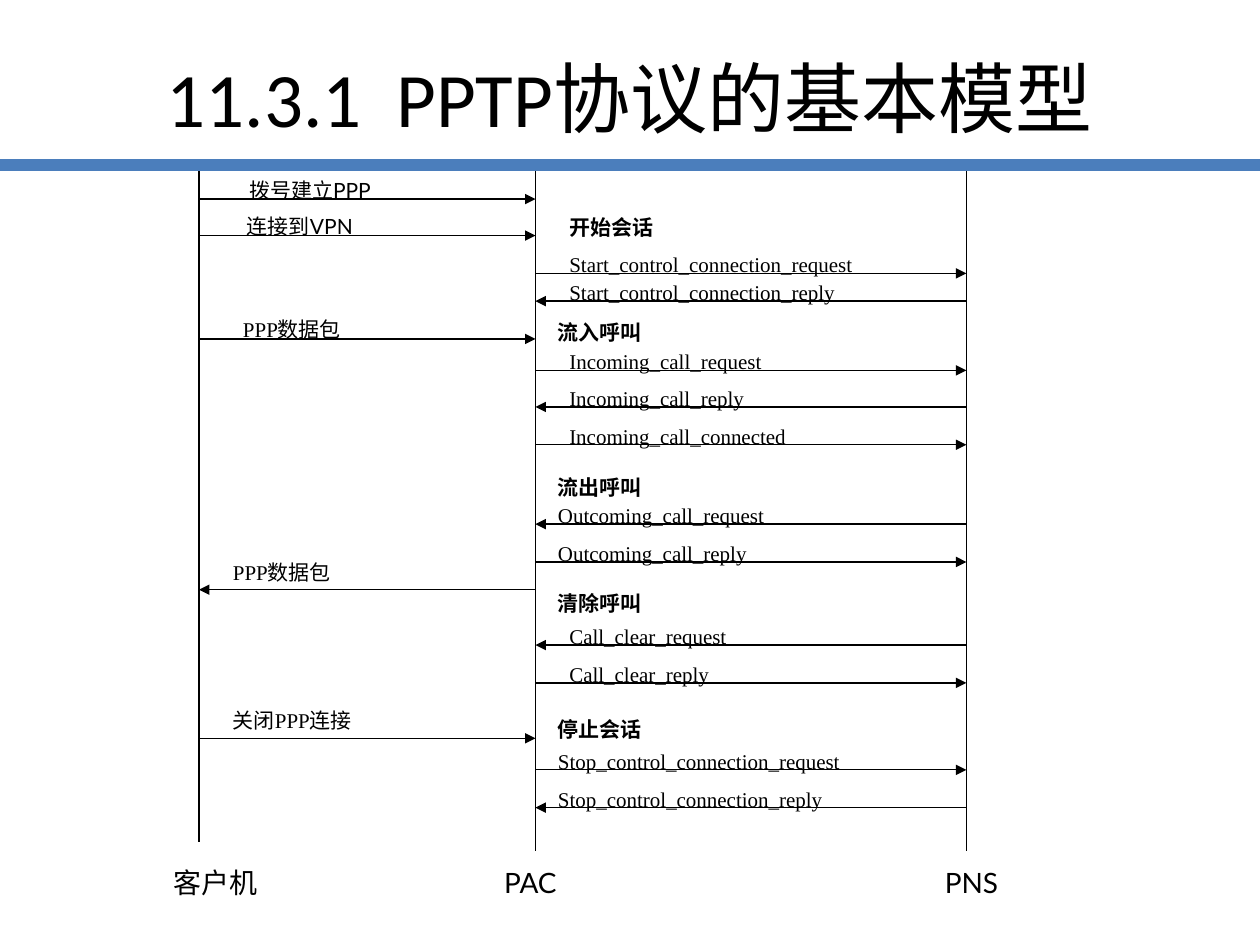
from dataclasses import dataclass

from lxml.etree import SubElement
from pptx import Presentation
from pptx.dml.color import RGBColor as Rgb
from pptx.enum.shapes import MSO_CONNECTOR as Conn
from pptx.enum.text import MSO_ANCHOR as Anchor, MSO_AUTO_SIZE as Fit, PP_ALIGN as Align
from pptx.oxml.ns import qn
from pptx.util import Inches, Pt


@dataclass(frozen=True)
class Theme:
    ink: Rgb = Rgb(0, 0, 0)
    blue: Rgb = Rgb(0x4B, 0x7E, 0xBC)
    head: str = "Calibri"
    sans: str = "Lato"
    serif: str = "Times New Roman"
    cjk: str = "Noto Sans CJK SC"
    big: float = 44
    mid: float = 16
    small: float = 12
    thin: float = 0.75
    thick: float = 7


class Sheet:
    def __init__(self, slide, theme):
        self.slide = slide
        self.theme = theme

    def line(self, x1, y1, x2, y2, arrow=False, color=None, width=None):
        ends = [Inches(v) for v in (x1, y1, x2, y2)]
        rule = self.slide.shapes.add_connector(Conn.STRAIGHT, *ends)
        rule.line.color.rgb = color or self.theme.ink
        rule.line.width = Pt(width or self.theme.thin)
        if arrow:
            SubElement(rule.line._get_or_add_ln(), qn("a:tailEnd"), type="triangle")
        SubElement(rule._element.spPr, qn("a:effectLst"))

    def text(self, box, runs, size, bold=False, center=False, wrap=True):
        """Add a text box; runs is a list of (words, font) pairs."""
        shape = self.slide.shapes.add_textbox(*[Inches(v) for v in box])
        frame = shape.text_frame
        form = {
            "word_wrap": wrap,
            "auto_size": Fit.NONE if center else Fit.SHAPE_TO_FIT_TEXT,
            "vertical_anchor": Anchor.MIDDLE if center else Anchor.TOP,
        }
        for key, val in form.items():
            setattr(frame, key, val)
        para = frame.paragraphs[0]
        para.alignment = Align.CENTER if center else Align.LEFT
        for words, face in runs:
            run = para.add_run()
            run.text = words
            for key, val in {"name": face, "size": Pt(size), "bold": bold}.items():
                setattr(run.font, key, val)
            run.font.color.rgb = self.theme.ink
            SubElement(run.font._element, qn("a:ea"), typeface=self.theme.cjk)


def main():
    deck = Presentation()
    deck.slide_width, deck.slide_height = Inches(10), Inches(7.5)
    theme = Theme()
    sheet = Sheet(deck.slides.add_slide(deck.slide_layouts[6]), theme)

    # Title and blue rule
    sheet.line(0, 1.31, 10, 1.31, color=theme.blue, width=theme.thick)
    sheet.text((0.5, 0.3, 9, 0.94), [("11.3.1  PPTP协议的基本模型", theme.head)],
               theme.big, center=True)

    # Lifelines with the names below: x, foot, name, label left
    host, pac, pns = 1.58, 4.25, 7.67
    for x, foot, name, left in [(host, 6.68, "客户机", 0.92),
                                (pac, 6.75, "PAC", 3.42),
                                (pns, 6.75, "PNS", 6.92)]:
        sheet.line(x, 1.36, x, foot)
        sheet.text((left, 6.75, 1.58, 0.5), [(name, theme.sans)], theme.mid,
                   center=True, wrap=False)

    # Dial-up and VPN requests from the client
    for y, left, words in [(1.58, 1.75, "拨号建立PPP"), (1.87, 1.67, "连接到VPN")]:
        sheet.line(host, y, pac, y, arrow=True)
        sheet.text((left, y - 0.15, 1.42, 0.15), [(words, theme.sans)], theme.small,
                   center=True, wrap=False)

    # PPP traffic between client and PAC: start, end, y, label left, label top, runs
    data = [("PPP", theme.serif), ("数据包", theme.cjk)]
    for start, end, y, left, top, runs in [
        (host, pac, 2.69, 1.83, 2.46, data),
        (pac, host, 4.68, 1.75, 4.39, data),
        (host, pac, 5.86, 1.75, 5.57, [("关闭PPP连接", theme.serif)]),
    ]:
        sheet.line(start, y, end, y, arrow=True)
        sheet.text((left, top, 2.08, 0.27), runs, theme.small)

    # Phase headings
    for left, top, words in [(4.42, 1.65, "开始会话"), (4.33, 2.49, "流入呼叫"),
                             (4.33, 3.72, "流出呼叫"), (4.33, 4.64, "清除呼叫"),
                             (4.33, 5.64, "停止会话")]:
        sheet.text((left, top, 1.5, 0.27), [(words, theme.cjk)], theme.small, bold=True)

    # Control messages between PAC and PNS: to PNS, y, label left, width, words
    for out, y, left, wide, words in [
        (True, 2.17, 4.42, 2.58, "Start_control_connection_request"),
        (False, 2.39, 4.42, 2.5, "Start_control_connection_reply"),
        (True, 2.94, 4.42, 2.25, "Incoming_call_request"),
        (False, 3.23, 4.42, 1.83, "Incoming_call_reply"),
        (True, 3.53, 4.42, 2.33, "Incoming_call_connected"),
        (False, 4.16, 4.33, 2.25, "Outcoming_call_request"),
        (True, 4.46, 4.33, 1.92, "Outcoming_call_reply"),
        (False, 5.12, 4.42, 2, "Call_clear_request"),
        (True, 5.42, 4.42, 2.33, "Call_clear_reply"),
        (True, 6.11, 4.33, 3, "Stop_control_connection_request"),
        (False, 6.41, 4.33, 2.92, "Stop_control_connection_reply"),
    ]:
        start, end = (pac, pns) if out else (pns, pac)
        sheet.line(start, y, end, y, arrow=True)
        sheet.text((left, y - 0.22, wide, 0.27), [(words, theme.serif)], theme.small)

    deck.save("out.pptx")


if __name__ == "__main__":
    main()
